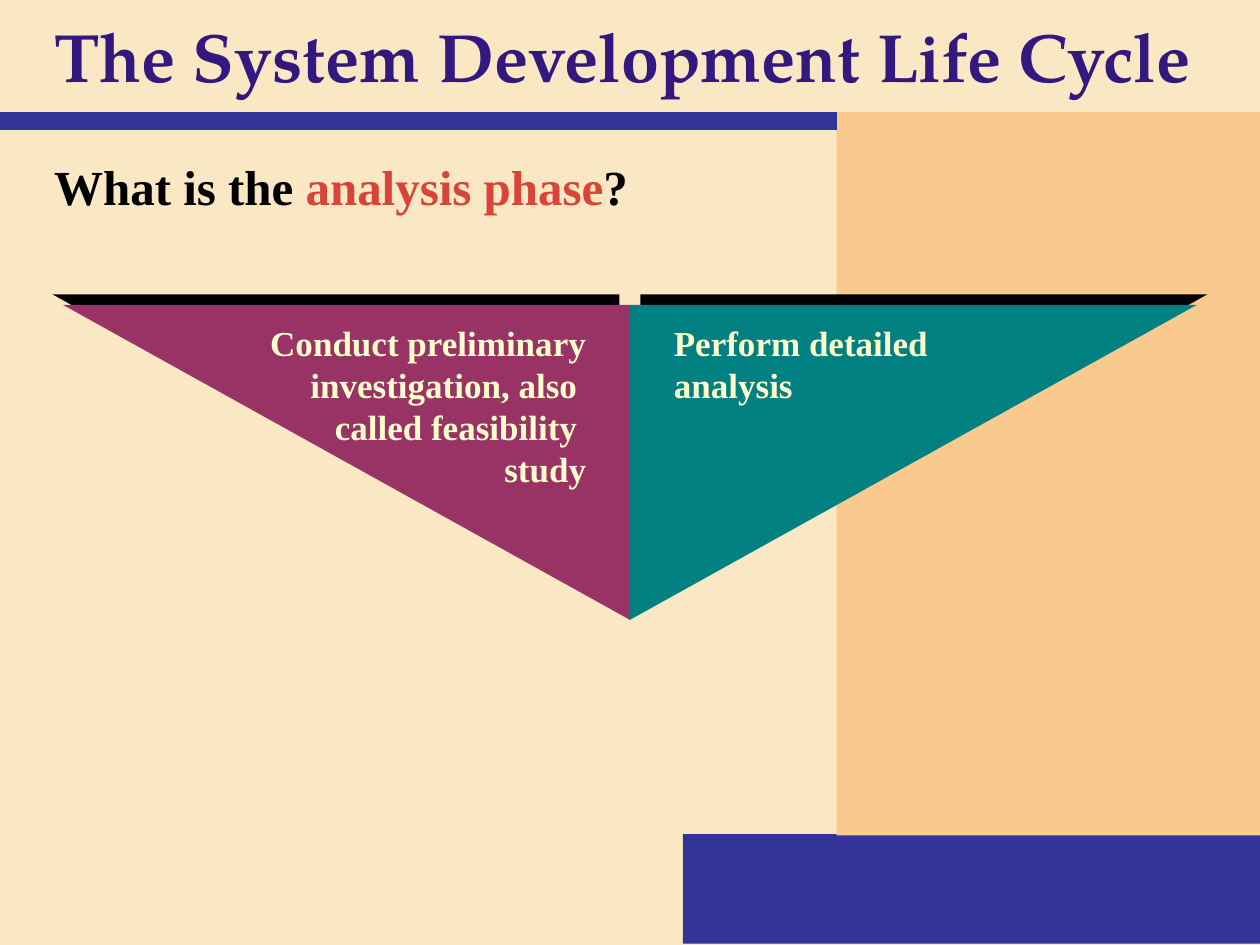
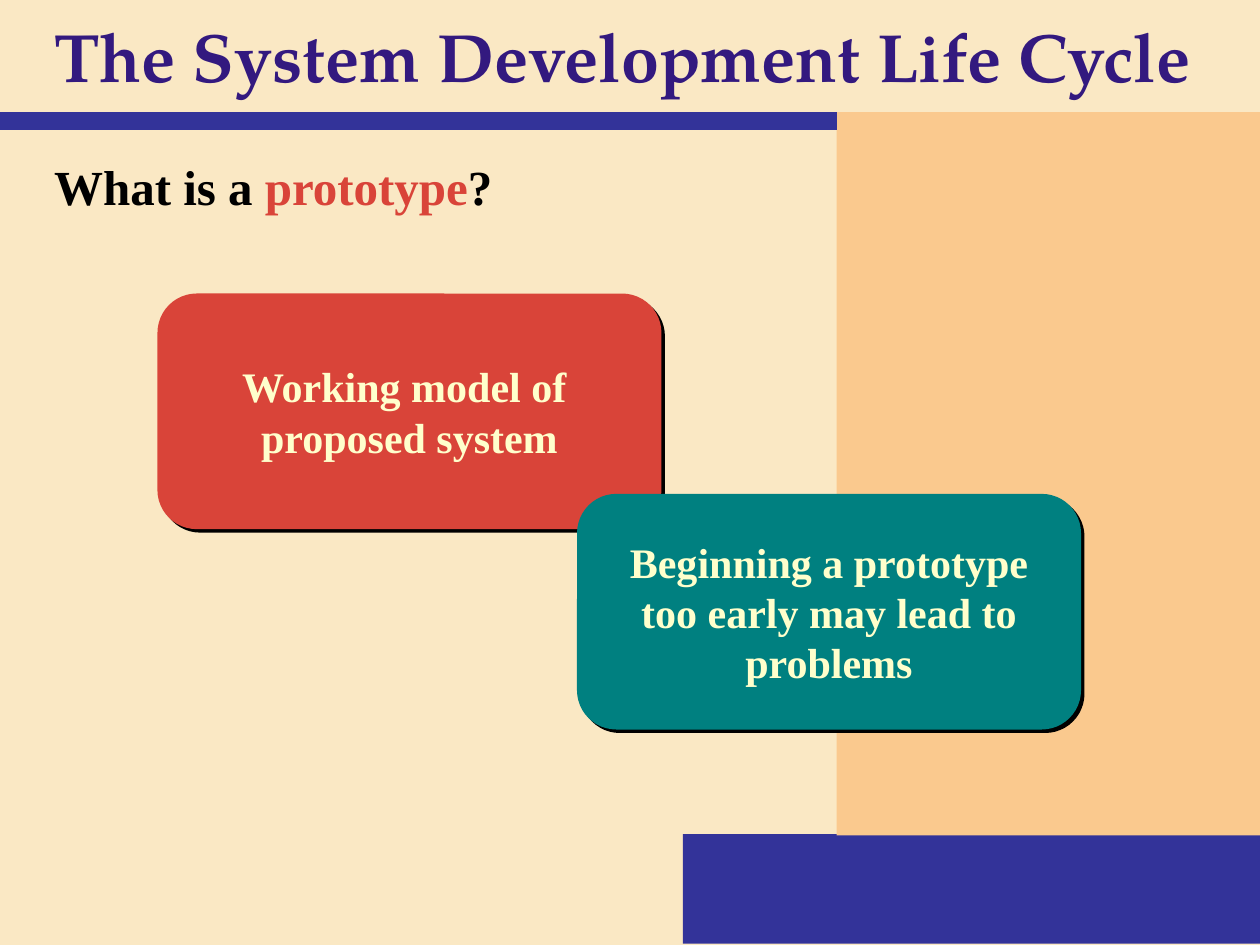
import pptx
import pptx.util
import pptx.dml.color
import pptx.enum.shapes
import pptx.enum.text
import pptx.oxml.ns
import lxml.etree

Inches = pptx.util.Inches
Pt = pptx.util.Pt
RGBColor = pptx.dml.color.RGBColor
Shapes = pptx.enum.shapes.MSO_SHAPE
Align = pptx.enum.text.PP_ALIGN
Anchor = pptx.enum.text.MSO_ANCHOR
AutoSize = pptx.enum.text.MSO_AUTO_SIZE
qn = pptx.oxml.ns.qn

CREAM = RGBColor(0xFA, 0xE8, 0xC4)
PEACH = RGBColor(0xFA, 0xC9, 0x8E)
BLUE = RGBColor(0x33, 0x33, 0x99)
INDIGO = RGBColor(0x33, 0x19, 0x7F)
RED = RGBColor(0xD9, 0x44, 0x39)
PLUM = RGBColor(0x99, 0x33, 0x66)
TEAL = RGBColor(0x00, 0x80, 0x80)
IVORY = RGBColor(0xFF, 0xFF, 0xCC)
BLACK = RGBColor(0, 0, 0)

TITLE_FONT = "TeX Gyre Pagella"
BODY_FONT = "Times New Roman"

TITLE = "The System Development Life Cycle"
QUESTIONS = [
    [("What is the ", BLACK), ("analysis phase", RED), ("?", BLACK)],
    [("What is a ", BLACK), ("prototype", RED), ("?", BLACK)],
]
BANDS = [
    ((5.42, 6.62, 4.6, 0.87), BLUE),
    ((6.64, 0.89, 3.36, 5.74), PEACH),
]
TRIANGLES = [
    {"left": 0.5, "fill": PLUM, "flips": ("flipH", "flipV"), "shadow": 225,
     "text": "Conduct preliminary investigation, also \ncalled feasibility \nstudy",
     "text_box": (1.33, 2.5, 3.42, 1.43), "align": Align.RIGHT},
    {"left": 5, "fill": TEAL, "flips": ("flipV",), "shadow": 315,
     "text": "Perform detailed analysis",
     "text_box": (5.25, 2.5, 2.5, 0.77), "align": Align.LEFT},
]
CARDS = [
    ((1.25, 2.33), RED, "Working model of \nproposed system"),
    ((4.58, 3.92), TEAL, "Beginning a prototype too early may lead to problems"),
]


def inches(box):
    return [Inches(value) for value in box]


def place(shape, box):
    shape.left, shape.top, shape.width, shape.height = inches(box)


def add_runs(paragraph, pieces, size, font=BODY_FONT):
    for text, color in pieces:
        for index, line in enumerate(text.split("\n")):
            if index:
                paragraph.add_line_break()
            run = paragraph.add_run()
            run.text = line
            run.font.name = font
            run.font.size = Pt(size)
            run.font.bold = True
            run.font.color.rgb = color


def add_filled(shapes, kind, box, color):
    shape = shapes.add_shape(kind, *inches(box))
    shape.shadow.inherit = False
    shape.fill.solid()
    shape.fill.fore_color.rgb = color
    shape.line.fill.background()
    return shape


def add_shadow(shape, distance, angle):
    effects = shape.element.spPr.find(qn("a:effectLst"))
    shadow = lxml.etree.SubElement(
        effects, qn("a:outerShdw"), dist=str(int(Pt(distance))),
        dir=str(angle * 60000), algn="ctr", rotWithShape="0")
    lxml.etree.SubElement(shadow, qn("a:srgbClr"), val=str(BLACK))


def decorate_master(master, slide):
    master.background.fill.solid()
    master.background.fill.fore_color.rgb = CREAM
    parts = [add_filled(slide.shapes, Shapes.RECTANGLE, box, color)
             for box, color in BANDS]
    rule = slide.shapes.add_connector(
        pptx.enum.shapes.MSO_CONNECTOR.STRAIGHT, *inches((0, 0.96, 6.64, 0.96)))
    rule.line.color.rgb = BLUE
    rule.line.width = Pt(10)
    lxml.etree.SubElement(rule.element.spPr, qn("a:effectLst"))
    for index, part in enumerate(parts + [rule]):
        master.shapes.element.insert(2 + index, part.element)


def fill_placeholders(slide, question):
    title, body = slide.shapes.title, slide.placeholders[1]
    place(title, (0.33, 0, 9.39, 0.88))
    place(body, (0.33, 1.19, 9.39, 0.8))
    for shape, anchor in ((title, Anchor.MIDDLE), (body, Anchor.TOP)):
        shape.text_frame.auto_size = AutoSize.NONE
        shape.text_frame.vertical_anchor = anchor
        shape.text_frame.paragraphs[0].alignment = Align.LEFT
    add_runs(title.text_frame.paragraphs[0], [(TITLE, INDIGO)], 39, TITLE_FONT)
    paragraph = body.text_frame.paragraphs[0]
    properties = paragraph._p.get_or_add_pPr()
    properties.set("marL", str(Inches(0.58)))
    properties.set("indent", str(-Inches(0.58)))
    lxml.etree.SubElement(properties, qn("a:buNone"))
    add_runs(paragraph, question, 28)


def add_triangle(slide, item):
    shapes = slide.shapes.add_group_shape().shapes
    triangle = add_filled(shapes, Shapes.RIGHT_TRIANGLE,
                          (item["left"], 2.42, 4.5, 2.5), item["fill"])
    for flip in item["flips"]:
        triangle.element.spPr.find(qn("a:xfrm")).set(flip, "1")
    add_shadow(triangle, 8.5, item["shadow"])
    frame = shapes.add_textbox(*inches(item["text_box"])).text_frame
    frame.word_wrap = True
    frame.auto_size = AutoSize.SHAPE_TO_FIT_TEXT
    paragraph = frame.paragraphs[0]
    paragraph.alignment = item["align"]
    paragraph.space_before = Pt(1)
    add_runs(paragraph, [(item["text"], IVORY)], 20)


def add_card(slide, corner, color, text):
    card = add_filled(slide.shapes, Shapes.ROUNDED_RECTANGLE, (*corner, 4, 1.87), color)
    add_shadow(card, 2.8, 45)
    card.text_frame.word_wrap = True
    card.text_frame.vertical_anchor = Anchor.MIDDLE
    paragraph = card.text_frame.paragraphs[0]
    paragraph.alignment = Align.CENTER
    paragraph.space_before = Pt(12)
    add_runs(paragraph, [(text, IVORY)], 24)


presentation = pptx.Presentation()
presentation.slide_width, presentation.slide_height = Inches(10), Inches(7.5)
layout = presentation.slide_layouts[1]
analysis_slide, prototype_slide = [presentation.slides.add_slide(layout) for _ in QUESTIONS]
decorate_master(presentation.slide_master, analysis_slide)
for slide, question in zip(presentation.slides, QUESTIONS):
    fill_placeholders(slide, question)
for item in TRIANGLES:
    add_triangle(analysis_slide, item)
for corner, color, text in CARDS:
    add_card(prototype_slide, corner, color, text)
presentation.save("out.pptx")
